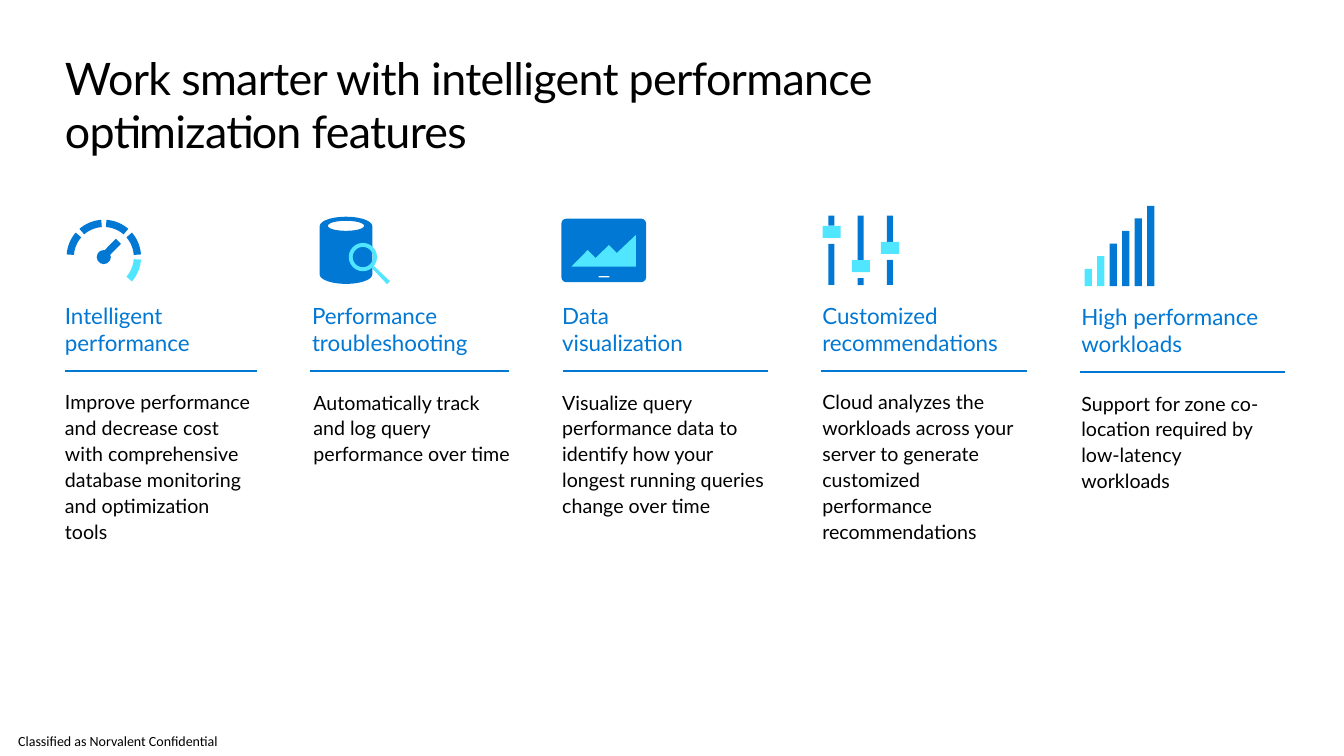
from dataclasses import dataclass
from math import cos, radians, sin

from lxml.etree import SubElement
from pptx import Presentation
from pptx.dml.color import RGBColor
from pptx.enum.shapes import MSO_CONNECTOR as Link, MSO_SHAPE as Preset
from pptx.enum.text import MSO_ANCHOR as Anchor
from pptx.oxml.ns import qn
from pptx.shapes.autoshape import Shape
from pptx.shapes.shapetree import GroupShapes
from pptx.slide import Slide
from pptx.util import Pt

Point = tuple[float, float]


@dataclass(frozen=True)
class Theme:
    blue: RGBColor = RGBColor(0x00, 0x78, 0xD4)
    cyan: RGBColor = RGBColor(0x50, 0xE6, 0xFF)
    black: RGBColor = RGBColor(0x00, 0x00, 0x00)
    white: RGBColor = RGBColor(0xFF, 0xFF, 0xFF)
    font: str = "Lato"
    footer_font: str = "Calibri"
    title_size: float = 32
    heading_size: float = 16
    body_size: float = 14
    footer_size: float = 10


@dataclass(frozen=True)
class Area:
    left: float
    top: float
    width: float
    height: float


@dataclass(frozen=True)
class TextStyle:
    size: float
    color: RGBColor
    font: str
    line_spacing: float = 1.0
    space_after: float = 0
    tracking: float = 0


@dataclass(frozen=True)
class Feature:
    heading: tuple[str, ...]
    body: str
    heading_area: Area
    body_area: Area
    rule: tuple[float, float, float]  # start, end, height on the page


THEME = Theme()
TITLE = TextStyle(THEME.title_size, THEME.black, THEME.font, tracking=-0.5)
HEADING = TextStyle(THEME.heading_size, THEME.blue, THEME.font)
BODY = TextStyle(THEME.body_size, THEME.black, THEME.font, 1.1, 6)
FOOTER = TextStyle(THEME.footer_size, THEME.black, THEME.footer_font)

FEATURES = (
    Feature(("Intelligent", "performance"),
            "Improve performance and decrease cost with comprehensive database "
            "monitoring and optimization tools",
            Area(46.4, 216, 172.8, 38.9), Area(46.4, 277.2, 136.1, 110.2),
            (46.4, 183.6, 265)),
    Feature(("Performance troubleshooting",),
            "Automatically track and log query performance over time",
            Area(222.9, 216, 172.8, 38.9), Area(223.9, 277.2, 140.6, 73.4),
            (221.6, 363.6, 265)),
    Feature(("Data", "visualization"),
            "Visualize query performance data to identify how your longest "
            "running queries change over time",
            Area(401.6, 216, 144, 38.9), Area(401.6, 277.2, 146.9, 92.2),
            (402, 548.6, 265)),
    Feature(("Customized recommendations",),
            "Cloud analyzes the workloads across your server to generate "
            "customized performance recommendations",
            Area(587.4, 216, 153.4, 38.9), Area(587.4, 277.2, 146.2, 110.2),
            (586.8, 733.4, 265)),
    Feature(("High performance workloads",),
            "Support for zone co-location required by low-latency workloads",
            Area(772.4, 216.7, 153.4, 38.9), Area(772.4, 277.9, 135.4, 73.4),
            (771.3, 918, 265.7)),
)


def add_text(page: Slide, area: Area, lines: tuple[str, ...], style: TextStyle) -> Shape:
    box = page.shapes.add_textbox(Pt(area.left), Pt(area.top), Pt(area.width), Pt(area.height))
    frame = box.text_frame
    frame.word_wrap = True
    frame.margin_left = frame.margin_top = frame.margin_right = frame.margin_bottom = 0
    para = frame.paragraphs[0]
    para.line_spacing = style.line_spacing
    para.space_after = Pt(style.space_after)
    for index, line in enumerate(lines):
        if index:
            para.add_line_break()
        span = para.add_run()
        span.text = line
        span.font.name = style.font
        span.font.size = Pt(style.size)
        span.font.color.rgb = style.color
        if style.tracking:
            span._r.get_or_add_rPr().set("spc", str(round(style.tracking * 100)))
    return box


def add_rule(page: Slide, start: float, end: float, height: float) -> None:
    rule = page.shapes.add_connector(Link.STRAIGHT, Pt(start), Pt(height), Pt(end), Pt(height))
    rule.line.color.rgb = THEME.blue
    rule.line.width = Pt(1)
    SubElement(rule._element.spPr, qn("a:effectLst"))


def paint(shape: Shape, color: RGBColor) -> Shape:
    shape.shadow.inherit = False
    shape.fill.solid()
    shape.fill.fore_color.rgb = color
    shape.line.fill.background()
    return shape


def add_preset(icon: GroupShapes, kind: Preset, area: Area, color: RGBColor) -> Shape:
    return paint(icon.add_shape(kind, Pt(area.left), Pt(area.top),
                                Pt(area.width), Pt(area.height)), color)


def add_outline(icon: GroupShapes, color: RGBColor, *contours: list[Point]) -> Shape:
    """Fill closed contours; a contour inside another one is a hole."""
    paths = [[(Pt(x), Pt(y)) for x, y in contour] for contour in contours]
    builder = icon.build_freeform(*paths[0][0])
    builder.add_line_segments(paths[0][1:], close=True)
    for path in paths[1:]:
        builder.move_to(*path[0])
        builder.add_line_segments(path[1:], close=True)
    return paint(builder.convert_to_shape(), color)


def arc(center: Point, radius: Point, start: int, end: int, steps: int = 24) -> list[Point]:
    """Points along an ellipse, in degrees clockwise from the right."""
    angles = [radians(start + (end - start) * step / steps) for step in range(steps + 1)]
    return [(center[0] + radius[0] * cos(a), center[1] + radius[1] * sin(a)) for a in angles]


def draw_gauge(icon: GroupShapes) -> None:
    center, trim = (74.2, 183.6), 4
    for index in range(5):
        start = 180 + 45 * index + trim
        end = start + 45 - 2 * trim
        outer = arc(center, (26.6, 26.6), start, end)
        inner = arc(center, (21.4, 21.4), end, start)
        add_outline(icon, THEME.cyan if index == 4 else THEME.blue, outer + inner)
    add_outline(icon, THEME.blue, [(74.9, 185.8), (71.3, 182.2), (82.8, 170.6), (86.4, 174.2)])
    add_preset(icon, Preset.OVAL, Area(69.1, 178.6, 10.1, 10.1), THEME.blue)


def draw_database(icon: GroupShapes) -> None:
    top, bottom = (247.2, 161.6), (247.2, 196)
    body = arc(top, (18.8, 6.8), 180, 360) + arc(bottom, (18.8, 6.8), 0, 180)
    add_outline(icon, THEME.blue, body, arc((247.2, 161.3), (13, 3.6), 360, 0))
    add_outline(icon, THEME.cyan, [(278.6, 200.9), (276.5, 203), (265, 190.8), (266.4, 189.4)])
    lens = add_preset(icon, Preset.DONUT, Area(249.1, 173.5, 20.2, 20.2), THEME.cyan)
    lens.adjustments[0] = 0.14


def draw_screen(icon: GroupShapes) -> None:
    screen = add_preset(icon, Preset.ROUNDED_RECTANGLE, Area(401, 156.2, 60.6, 45.4), THEME.blue)
    screen.adjustments[0] = 0.08
    add_outline(icon, THEME.cyan, [(419.8, 178.6), (425.5, 184.3), (434.9, 175), (440.6, 180.7),
                                   (454.2, 167.8), (454.2, 190.4), (408.2, 190.4)])
    add_preset(icon, Preset.RECTANGLE, Area(427.7, 197.2, 7.6, 1), THEME.white)


def draw_sliders(icon: GroupShapes) -> None:
    top, bottom, track, knob = 154.1, 203.6, 4.3, 8.6
    for index, knob_top in enumerate((161.3, 185.8, 172.8)):
        left = 591.8 + 20.9 * index
        lower = knob_top + knob + track
        add_preset(icon, Preset.RECTANGLE, Area(left, top, track, knob_top - top), THEME.blue)
        add_preset(icon, Preset.RECTANGLE, Area(left, lower, track, bottom - lower), THEME.blue)
        add_preset(icon, Preset.RECTANGLE, Area(left - track, knob_top, 3 * track, knob),
                   THEME.cyan)


def draw_bars(icon: GroupShapes) -> None:
    bottom = 204.4
    for index in range(6):
        height = 12.4 + 9 * index
        add_preset(icon, Preset.RECTANGLE, Area(774.7 + 8.93 * index, bottom - height, 5.2, height),
                   THEME.cyan if index < 2 else THEME.blue)


def main() -> None:
    deck = Presentation()
    deck.slide_width, deck.slide_height = Pt(960), Pt(540)
    page = deck.slides.add_slide(deck.slide_layouts[6])
    footer = add_text(page, Area(0, 519.1, 167, 20.9),
                      ("Classified as Norvalent Confidential",), FOOTER)
    footer.text_frame.margin_left = Pt(13)
    footer.text_frame.vertical_anchor = Anchor.MIDDLE
    add_text(page, Area(46.4, 36, 867.6, 77.8),
             ("Work smarter with intelligent performance", "optimization features"), TITLE)
    for draw in (draw_gauge, draw_database, draw_screen, draw_sliders, draw_bars):
        draw(page.shapes.add_group_shape().shapes)
    for feature in FEATURES:
        add_text(page, feature.heading_area, feature.heading, HEADING)
        add_rule(page, *feature.rule)
        add_text(page, feature.body_area, (feature.body,), BODY)
    deck.save("out.pptx")


if __name__ == "__main__":
    main()
